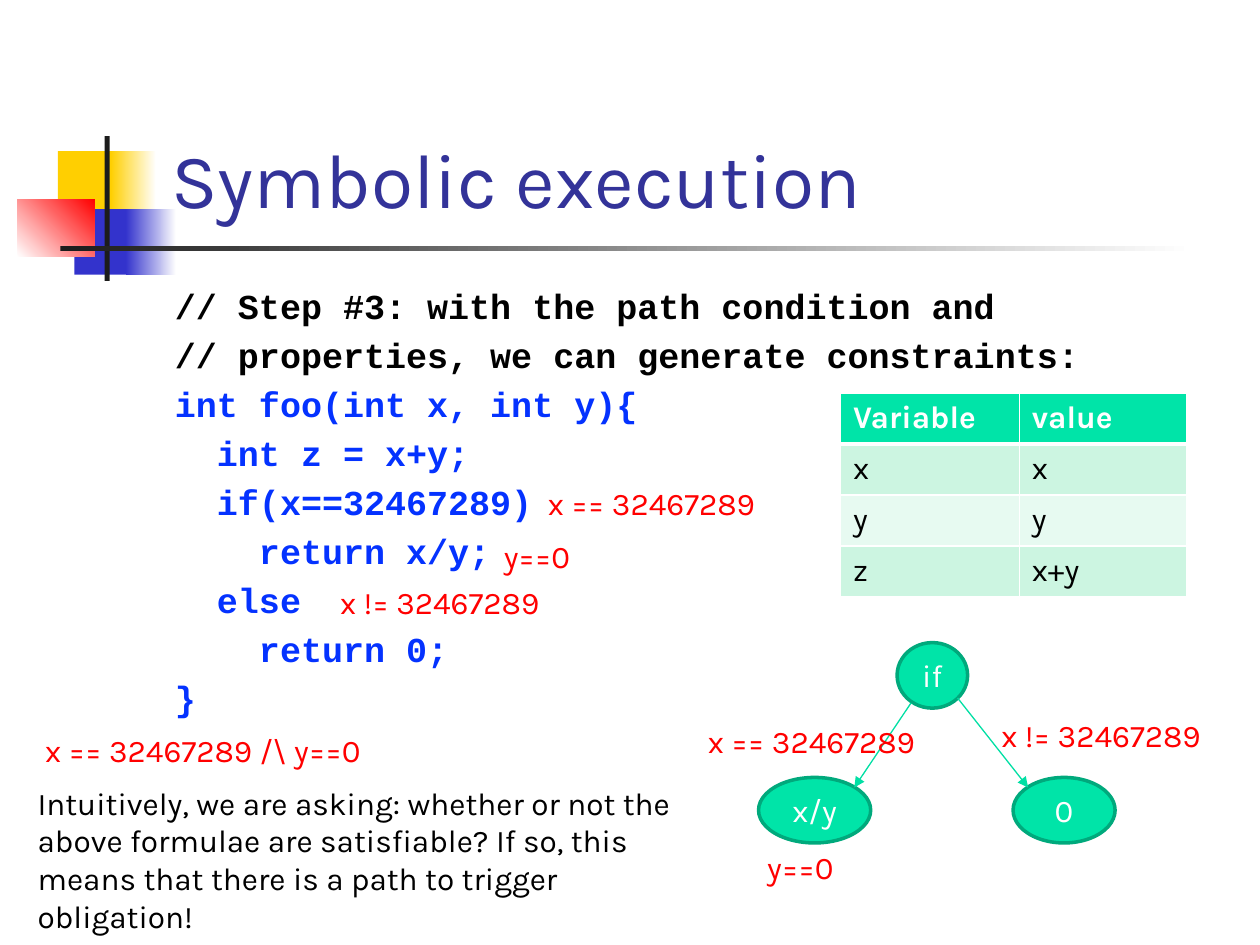
from lxml import etree
from pptx import Presentation
from pptx import util as u
from pptx.dml import color
from pptx.enum import shapes, text
from pptx.oxml import ns

COLORS = {
    "gold": "FFCF01", "blue": "3333CC", "red": "FF0000", "dark": "1C1C1C",
    "white": "FFFFFF", "black": "000000", "title": "333399", "code": "0432FF",
    "green": "00E4A8", "outline": "00A97C", "arrow": "00DFA4",
    "band": "CCF5E1", "pale": "E7FAF1",
}
LABEL = {"name": "Karla", "size": u.Pt(18), "bold": False}
CODE = {"name": "Courier New", "size": u.Pt(20), "bold": True}


def rgb(name):
    return color.RGBColor.from_string(COLORS[name])


def style(para, values, ink):
    for key, value in values.items():
        setattr(para.font, key, value)
    para.font.color.rgb = rgb(ink)


def add_bar(page, left, top, width, height, ink, fade=None, angle=0):
    bar = page.shapes.add_shape(
        shapes.MSO_SHAPE.RECTANGLE, *map(u.Inches, (left, top, width, height)))
    bar.shadow.inherit = False
    bar.line.fill.background()
    if fade:
        bar.fill.gradient()
        bar.fill.gradient_angle = angle
        for stop, name in zip(bar.fill.gradient_stops, (ink, fade)):
            stop.color.rgb = rgb(name)
    else:
        bar.fill.solid()
        bar.fill.fore_color.rgb = rgb(ink)


def add_ornament(page, left, top):
    for x, y, width, height, *paint in (
        (0.32, 0.12, 0.48, 0.52, "gold"),
        (0.74, 0.12, 0.36, 0.52, "gold", "white"),
        (0.45, 0.58, 0.46, 0.52, "blue"),
        (0.86, 0.58, 0.4, 0.52, "blue", "white"),
        (0, 0.5, 0.61, 0.46, "white", "red", 45),
        (0.69, 0, 0.04, 1.15, "dark"),
        (0.34, 0.87, 9, 0.04, "dark", "white"),
    ):
        add_bar(page, left + x, top + y, width, height, *paint)


def add_title(page, left, top, width, height):
    title = page.shapes.title
    for key, value in zip(("left", "top", "width", "height"), (left, top, width, height)):
        setattr(title, key, u.Inches(value))
    title.text_frame.vertical_anchor = text.MSO_ANCHOR.BOTTOM
    para = title.text_frame.paragraphs[0]
    para.text = "Symbolic execution"
    para.alignment = text.PP_ALIGN.LEFT
    style(para, {"name": "Karla", "size": u.Pt(44)}, "title")


def add_text(page, left, top, width, height, words, ink="red"):
    box = page.shapes.add_textbox(*map(u.Inches, (left, top, width, height)))
    box.text_frame.word_wrap = True
    para = box.text_frame.paragraphs[0]
    para.text = words
    style(para, LABEL, ink)


def add_code(page, left, top, width, height):
    box = page.shapes.add_textbox(*map(u.Inches, (left, top, width, height)))
    frame = box.text_frame
    frame.word_wrap = True
    lines = (
        "// Step #3: with the path condition and",
        "// properties, we can generate constraints:",
        "int foo(int x, int y){",
        "  int z = x+y;",
        "  if(x==32467289)",
        "    return x/y;",
        "  else",
        "    return 0;",
        "}",
    )
    for index, line in enumerate(lines):
        para = frame.add_paragraph() if index else frame.paragraphs[0]
        para.text = line
        if index:
            para.space_before = u.Pt(4)
        style(para, CODE, "black" if line.startswith("//") else "code")
    for x, y, words in (
        (2.96, 1.58, "x == 32467289"),
        (2.61, 2, "y==0"),
        (1.31, 2.37, "x != 32467289"),
    ):
        add_text(page, left + x, top + y, 2.75, 0.4, words)


def add_border(cell, side, points):
    line = etree.SubElement(
        cell._tc.get_or_add_tcPr(), ns.qn(f"a:ln{side}"), w=str(u.Pt(points)))
    fill = etree.SubElement(line, ns.qn("a:solidFill"))
    etree.SubElement(fill, ns.qn("a:srgbClr"), val=COLORS["white"])


def add_state_table(page, left, top, width, height):
    rows = (("Variable", "value"), ("x", "x"), ("y", "y"), ("z", "x+y"))
    table = page.shapes.add_table(
        len(rows), 2, *map(u.Inches, (left, top, width, height))).table
    for column, size in zip(table.columns, (1.42, width - 1.42)):
        column.width = u.Inches(size)
    for r, row in enumerate(rows):
        header = r == 0
        for c, words in enumerate(row):
            cell = table.cell(r, c)
            for side in "LRTB":
                thick = (header and side == "B") or (r == 1 and side == "T")
                add_border(cell, side, 3 if thick else 1)
            cell.fill.solid()
            cell.fill.fore_color.rgb = rgb(
                "green" if header else "band" if r % 2 else "pale")
            para = cell.text_frame.paragraphs[0]
            para.text = words
            style(para, LABEL | {"bold": header}, "white" if header else "black")


def add_node(page, left, top, width, height, words):
    node = page.shapes.add_shape(
        shapes.MSO_SHAPE.OVAL, *map(u.Inches, (left, top, width, height)))
    node.shadow.inherit = False
    node.fill.solid()
    node.fill.fore_color.rgb = rgb("green")
    node.line.color.rgb = rgb("outline")
    node.line.width = u.Pt(2)
    node.text_frame.vertical_anchor = text.MSO_ANCHOR.MIDDLE
    para = node.text_frame.paragraphs[0]
    para.text = words
    para.alignment = text.PP_ALIGN.CENTER
    style(para, LABEL, "white")


def add_arrow(page, *ends):
    arrow = page.shapes.add_connector(
        shapes.MSO_CONNECTOR.STRAIGHT, *map(u.Inches, ends))
    arrow.line.color.rgb = rgb("arrow")
    arrow.line.width = u.Pt(0.75)
    etree.SubElement(arrow.line._get_or_add_ln(), ns.qn("a:tailEnd"), type="triangle")
    etree.SubElement(arrow._element.spPr, ns.qn("a:effectLst"))


def add_tree(page, left, top):
    for x, y, width, words in (
        (1.6, 0, 0.56, "if"), (0.5, 1.07, 0.89, "x/y"), (2.52, 1.07, 0.81, "0"),
    ):
        add_node(page, left + x, top + y, width, 0.52, words)
    for x1, y1, x2, y2 in ((1.71, 0.48, 1.26, 1.15), (2.08, 0.44, 2.64, 1.15)):
        add_arrow(page, left + x1, top + y1, left + x2, top + y2)
    for x, y, width, words in (
        (0, 0.58, 2.75, "x == 32467289"),
        (2.33, 0.53, 2.06, "x != 32467289"),
        (0.47, 1.58, 2.75, "y==0"),
    ):
        add_text(page, left + x, top + y, width, 0.4, words)


def add_question(page, left, top):
    add_text(page, left + 0.06, top, 3.77, 0.4, "x == 32467289 /\\ y==0")
    add_text(
        page, left, top + 0.42, 5.32, 1.31,
        "Intuitively, we are asking: whether or not the above formulae are "
        "satisfiable? If so, this means that there is a path to trigger obligation!",
        "black")


def main():
    deck = Presentation()
    deck.slide_width, deck.slide_height = u.Inches(10), u.Inches(7.5)
    page = deck.slides.add_slide(deck.slide_layouts.get_by_name("Title Only"))
    add_ornament(page, 0.14, 1.08)
    add_title(page, 1.26, 0.23, 8.52, 1.6)
    add_code(page, 1.29, 2.21, 8.5, 4.5)
    add_state_table(page, 6.67, 3.12, 2.75, 1.62)
    add_tree(page, 5.52, 5.1)
    add_question(page, 0.2, 5.75)
    deck.save("out.pptx")


if __name__ == "__main__":
    main()
